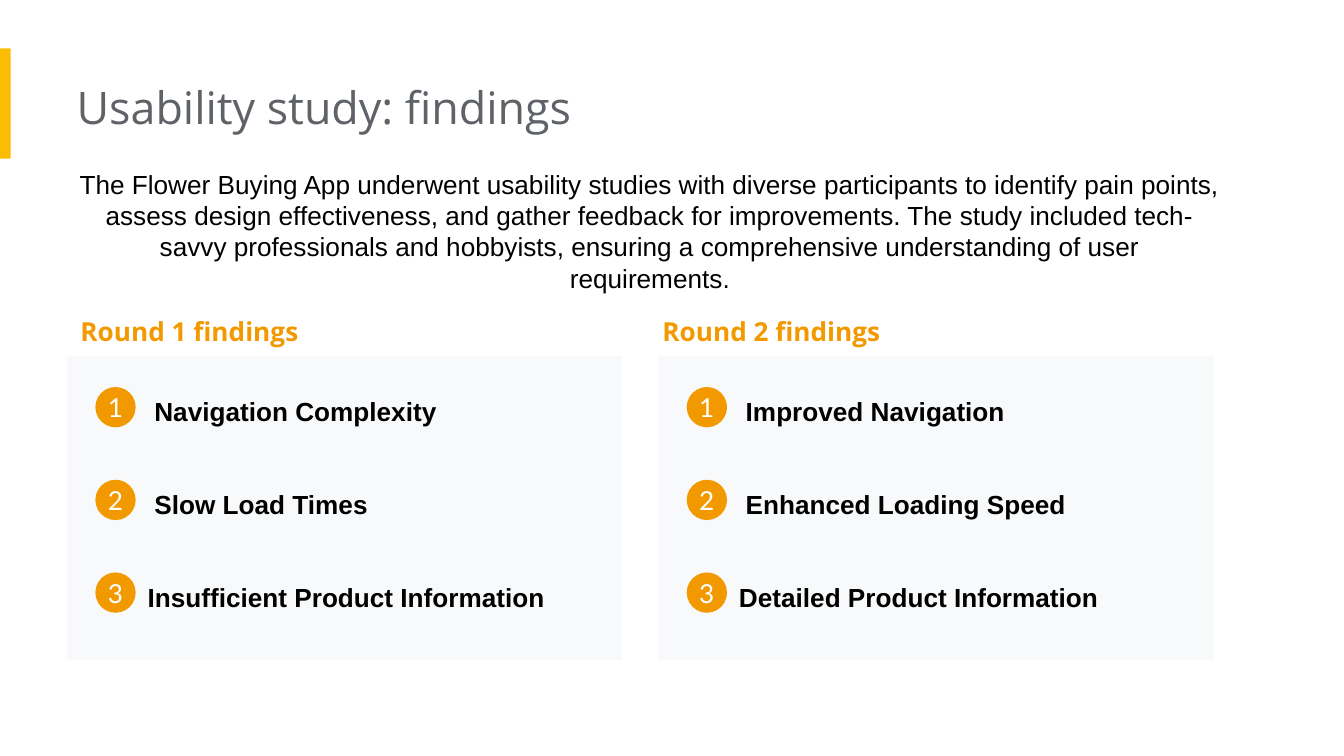
from pptx import Presentation
from pptx.dml.color import RGBColor
from pptx.enum.shapes import MSO_SHAPE
from pptx.enum.text import MSO_ANCHOR, MSO_AUTO_SIZE, PP_ALIGN
from pptx.util import Inches, Pt

RECT, OVAL = MSO_SHAPE.RECTANGLE, MSO_SHAPE.OVAL
TOP, MIDDLE = MSO_ANCHOR.TOP, MSO_ANCHOR.MIDDLE
LEFT, CENTER = PP_ALIGN.LEFT, PP_ALIGN.CENTER
GROW = MSO_AUTO_SIZE.SHAPE_TO_FIT_TEXT

COLORS = {
    "accent": "FBBC04",
    "title": "5F6368",
    "text": "000000",
    "orange": "F29900",
    "panel": "F8F9FA",
    "white": "FFFFFF",
}

PANEL_W, PANEL_H = 4.13, 2.26
HEADING_H = 0.44
BADGE = 0.3
ITEM_PITCH = 0.69

# Panel left, heading shift, heading, findings
ROUNDS = [
    (0.5, 0, "Round 1 findings",
     ["Navigation Complexity", "Slow Load Times", "Insufficient Product Information"]),
    (4.9, -0.07, "Round 2 findings",
     ["Improved Navigation", "Enhanced Loading Speed", "Detailed Product Information"]),
]
ITEM_SHIFTS = [0.55, 0.55, 0.5]


def color(name):
    return RGBColor.from_string(COLORS[name])


def write(shape, text, size, font, ink, bold=False, align=LEFT,
          left_inset=0.1, inset=0.1, anchor=TOP, spacing=None):
    frame = shape.text_frame
    frame.word_wrap = True
    frame.vertical_anchor = anchor
    frame.margin_left = Inches(left_inset)
    frame.margin_top = frame.margin_right = frame.margin_bottom = Inches(inset)
    paragraph = frame.paragraphs[0]
    paragraph.alignment = align
    if spacing:
        paragraph.line_spacing = spacing
    run = paragraph.add_run()
    run.text = text
    run.font.size = Pt(size)
    run.font.name = font
    run.font.bold = bold
    run.font.color.rgb = color(ink)


def add_filled(slide, kind, left, top, width, height, fill):
    shape = slide.shapes.add_shape(
        kind, Inches(left), Inches(top), Inches(width), Inches(height))
    shape.shadow.inherit = False
    shape.fill.solid()
    shape.fill.fore_color.rgb = color(fill)
    shape.line.fill.background()
    return shape


def add_text(slide, left, top, width, height, text, font, ink, **style):
    box = slide.shapes.add_textbox(
        Inches(left), Inches(top), Inches(width), Inches(height))
    write(box, text, 14, font, ink, **style)
    box.text_frame.auto_size = GROW


def add_header(slide, left, top, width, height):
    # Accent bar at the slide edge
    add_filled(slide, RECT, 0, 0.36, 0.08, 0.82, "accent")
    # Title
    title = slide.shapes.title
    title.left, title.top = Inches(left), Inches(top)
    title.width, title.height = Inches(width), Inches(height)
    write(title, "Usability study: findings", 24, "Open Sans", "title", left_inset=0)
    title.text_frame.auto_size = GROW


def add_intro(slide, left, top, width, height):
    add_text(
        slide, left, top, width, height,
        "The Flower Buying App underwent usability studies with diverse participants "
        "to identify pain points, assess design effectiveness, and gather feedback for "
        "improvements. The study included tech-savvy professionals and hobbyists, "
        "ensuring a comprehensive understanding of user requirements.",
        "Arial", "text", align=CENTER, left_inset=0)


def add_round(slide, left, top, width, height, heading_shift, heading, findings):
    # Heading above the panel
    add_text(slide, left + heading_shift, top - HEADING_H, 3.65, HEADING_H,
             heading, "Open Sans", "orange", bold=True, spacing=1.15)
    add_filled(slide, RECT, left, top, width, height, "panel")
    # Numbered findings
    for index, (finding, shift) in enumerate(zip(findings, ITEM_SHIFTS)):
        item_top = top + 0.16 + index * ITEM_PITCH
        add_text(slide, left + shift, item_top, 3.65, 0.47,
                 finding, "Arial", "text", bold=True, spacing=1.15)
        badge = add_filled(slide, OVAL, left + 0.21, item_top + 0.07,
                           BADGE, BADGE, "orange")
        write(badge, str(index + 1), 14, "Lato", "white", align=CENTER,
              left_inset=0, inset=0, anchor=MIDDLE)


def main():
    deck = Presentation()
    # Widescreen, 16:9
    deck.slide_width = Inches(10)
    deck.slide_height = Inches(10 * 9 / 16)
    slide = deck.slides.add_slide(deck.slide_layouts[5])
    add_header(slide, 0.57, 0.49, 6.73, 0.61)
    add_intro(slide, 0.58, 1.15, 8.61, 0.91)
    for left, heading_shift, heading, findings in ROUNDS:
        add_round(slide, left, 2.65, PANEL_W, PANEL_H, heading_shift, heading, findings)
    deck.save("out.pptx")


if __name__ == "__main__":
    main()
